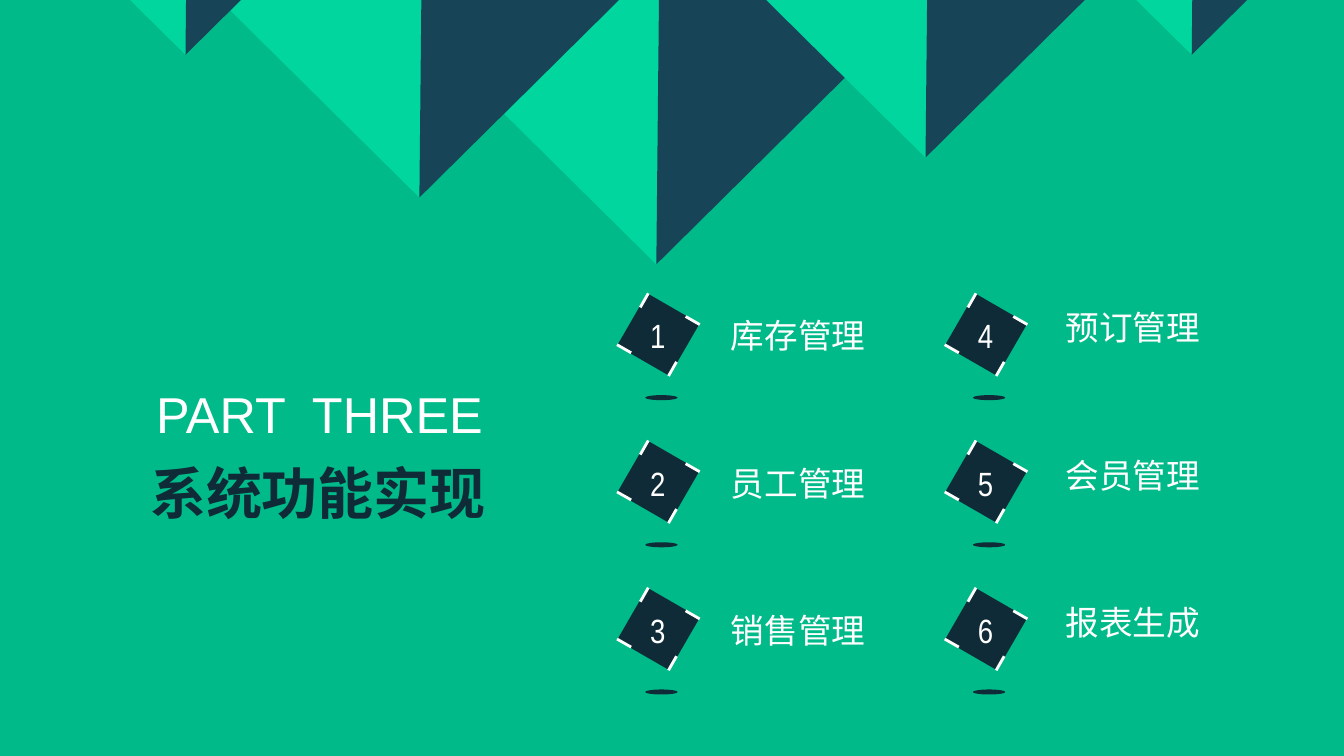
from lxml.etree import SubElement
from pptx import Presentation
from pptx.dml.color import RGBColor
from pptx.enum.shapes import MSO_CONNECTOR as LINE, MSO_SHAPE as SHAPE
from pptx.oxml.ns import qn
from pptx.util import Inches as In, Pt

GREEN, MINT, BLUE, NAVY, WHITE = "00BA89", "00D69E", "184458", "0F2B37", "FFFFFF"
TOP = -0.02
# Tip x and half width of each hanging peak, back to front
PEAKS = [(6.51, 2.67), (9.18, 1.6), (4.16, 2), (11.82, 0.57), (1.84, 0.57)]
SLOPE = 0.99
# Label left, first label top, labels
COLS = [
    (7.15, 3.08, ["库存管理", "员工管理", "销售管理"]),
    (10.47, 3.0, ["预订管理", "会员管理", "报表生成"]),
]
LEFT, FIRST, COL, ROW = 6.53, 3.32, 3.25, 1.46
SIDE = 0.6


def paint(fill, color):
    fill.solid()
    fill.fore_color.rgb = RGBColor.from_string(color)


def finish(shape, color):
    """Flat fill with neither outline nor shadow."""
    paint(shape.fill, color)
    shape.line.fill.background()
    shape.shadow.inherit = False


def add_flat(shapes, kind, x, y, w, h, color, turn=0):
    shape = shapes.add_shape(kind, In(x), In(y), In(w), In(h))
    shape.rotation = turn
    finish(shape, color)


def add_text(shapes, x, y, w, h, text, size, color=WHITE, font="Arial", bold=False):
    frame = shapes.add_textbox(In(x), In(y), In(w), In(h)).text_frame
    frame.word_wrap = True
    frame.text = text
    face = frame.paragraphs[0].runs[0].font
    face.name, face.size, face.bold = font, Pt(size), bold
    face.color.rgb = RGBColor.from_string(color)


def add_tick(shapes, x1, y1, x2, y2):
    tick = shapes.add_connector(LINE.STRAIGHT, In(x1), In(y1), In(x2), In(y2))
    paint(tick.line.fill, WHITE)
    tick.line.width = Pt(2)
    SubElement(tick._element.spPr, qn("a:effectLst"))


def add_peak(slide, tip, half):
    shapes = slide.shapes.add_group_shape().shapes
    deep = half * SLOPE
    add_flat(shapes, SHAPE.FLOWCHART_MERGE, tip - half, TOP, 2 * half, deep, MINT)
    pen = shapes.build_freeform(In(tip), In(TOP + deep))
    pen.add_line_segments([(In(tip + half / 100), In(TOP)), (In(tip + half), In(TOP))])
    finish(pen.convert_to_shape(), BLUE)


def add_badge(slide, x, y, num):
    """Tilted numbered square centred on x, y, with corner ticks and a ground shadow."""
    shapes = slide.shapes.add_group_shape().shapes
    add_flat(shapes, SHAPE.RECTANGLE, x - SIDE / 2, y - SIDE / 2, SIDE, SIDE, NAVY, 30)
    dx1, dy1, dx2, dy2 = 0.27, -0.18, 0.41, -0.1
    for _ in range(4):
        add_tick(shapes, x + dx1, y + dy1, x + dx2, y + dy2)
        dx1, dy1, dx2, dy2 = -dy1, dx1, -dy2, dx2
    add_text(shapes, x - 0.18, y - 0.24, 0.43, 0.5, str(num), 24, font="Arial Narrow")
    add_flat(slide.shapes, SHAPE.OVAL, x - 0.13, y + 0.6, 0.32, 0.05, NAVY)


def main():
    deck = Presentation()
    deck.slide_width, deck.slide_height = In(13.33), In(7.5)
    slide = deck.slides.add_slide(deck.slide_layouts[6])
    paint(slide.background.fill, GREEN)

    for tip, half in PEAKS:
        add_peak(slide, tip, half)

    add_text(slide.shapes, 1.45, 3.75, 3.48, 0.71, "PART  THREE", 36)
    add_text(slide.shapes, 1.39, 4.5, 3.76, 0.77, "系统功能实现", 40, NAVY, bold=True)

    for col, (x, y, labels) in enumerate(COLS):
        for row, label in enumerate(labels):
            num = col * len(labels) + row + 1
            add_badge(slide, LEFT + col * COL, FIRST + row * ROW, num)
            add_text(slide.shapes, x, y + row * ROW, 2.78, 0.5, label, 24)

    deck.save("out.pptx")


if __name__ == "__main__":
    main()
